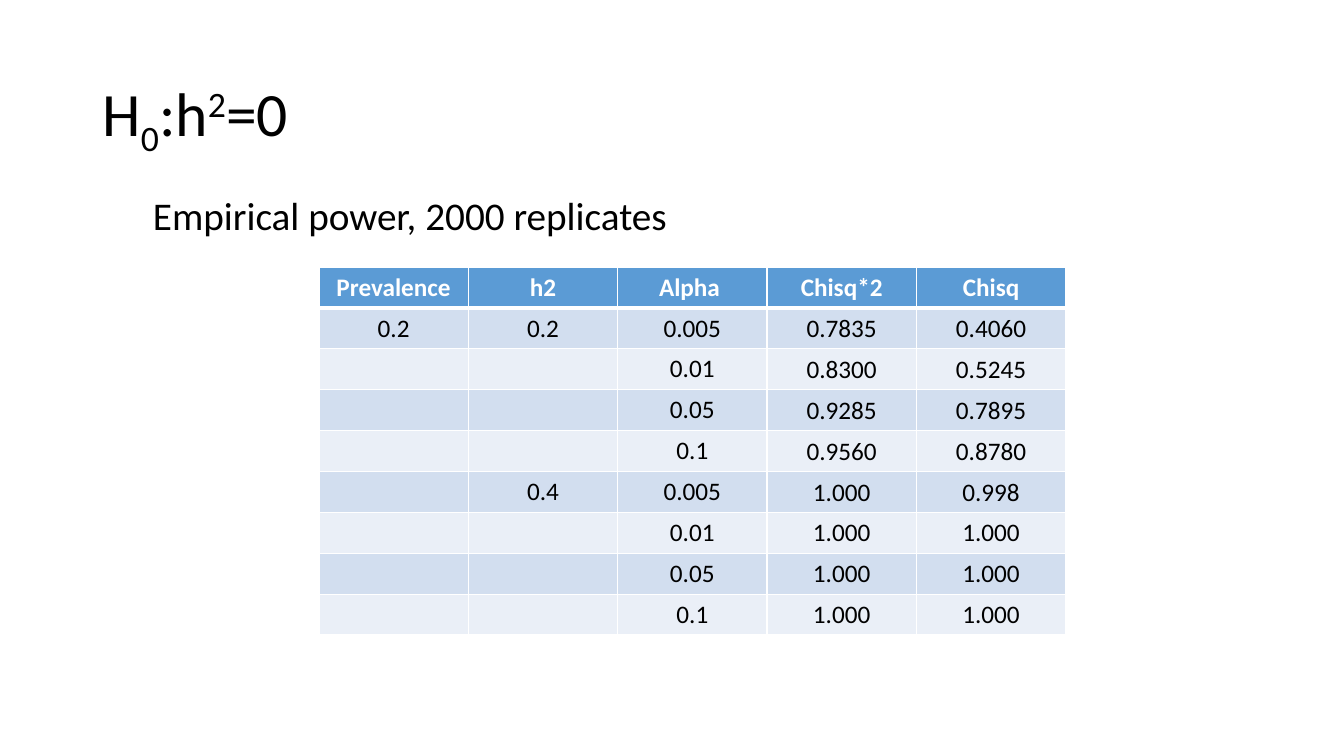
from lxml.etree import SubElement
from pptx import Presentation
from pptx.dml.color import RGBColor
from pptx.enum.text import MSO_ANCHOR, MSO_AUTO_SIZE, PP_ALIGN
from pptx.oxml import parse_xml
from pptx.oxml.ns import nsdecls
from pptx.util import Pt

HUES = {"ink": "000000", "white": "FFFFFF", "head": "5B9BD5",
        "odd": "D2DEEF", "even": "EAEFF7"}


def write(para, text, size=18, hue="ink", bold=False, align=PP_ALIGN.LEFT, base=0):
    para.alignment = align
    run = para.add_run()
    run.text = text
    font = run.font
    font.name, font.size, font.bold = "Calibri", Pt(size), bold
    font.color.rgb = RGBColor.from_string(HUES[hue])
    if base:
        run._r.get_or_add_rPr().set("baseline", str(base * 1000))


def edge(cell, sides):
    props = cell._tc.get_or_add_tcPr()
    for spot, (side, width) in enumerate(sides.items()):
        props.insert(spot, parse_xml(
            f'<a:ln{side} {nsdecls("a")} w="{Pt(width)}"><a:solidFill>'
            f'<a:srgbClr val="{HUES["white"]}"/></a:solidFill></a:ln{side}>'))


deck = Presentation()
deck.slide_width, deck.slide_height = Pt(960), Pt(540)
slide = deck.slides.add_slide(deck.slide_layouts[5])
for extra in list(slide.placeholders):
    if extra.placeholder_format.idx:
        extra.element.getparent().remove(extra.element)

# Title
title = slide.shapes.title
title.left, title.top, title.width, title.height = Pt(66), Pt(28.75), Pt(828), Pt(104.4)
frame = title.text_frame
frame.word_wrap = True
frame.auto_size = MSO_AUTO_SIZE.NONE
frame.vertical_anchor = MSO_ANCHOR.MIDDLE
para = frame.paragraphs[0]
para.line_spacing = 0.9
for text, base in [("H", 0), ("0", -25), (":h", 0), ("2", 30), ("=0", 0)]:
    write(para, text, size=44, base=base)

# Subtitle
note = slide.shapes.add_textbox(Pt(102.2), Pt(133.2), Pt(392.4), Pt(41))
note.text_frame.word_wrap = False
note.text_frame.auto_size = MSO_AUTO_SIZE.SHAPE_TO_FIT_TEXT
write(note.text_frame.paragraphs[0], "Empirical power, 2000 replicates", size=28)

# Power table
rows = [
    ["Prevalence", "h2", "Alpha ", "Chisq*2", "Chisq"],
    ["0.2", "0.2", "0.005", "0.7835", "0.4060"],
    ["", "", "0.01", "0.8300", "0.5245"],
    ["", "", "0.05", "0.9285", "0.7895"],
    ["", "", "0.1", "0.9560", "0.8780"],
    ["", "0.4", "0.005", "1.000", "0.998"],
    ["", "", "0.01", "1.000", "1.000"],
    ["", "", "0.05", "1.000", "1.000"],
    ["", "", "0.1", "1.000", "1.000"],
]
wide, high = 106.7, 29.2
table = slide.shapes.add_table(len(rows), len(rows[0]), Pt(227.8), Pt(190.8),
                               Pt(wide * len(rows[0])), Pt(high * len(rows))).table
for col in table.columns:
    col.width = Pt(wide)
for r, row in enumerate(rows):
    table.rows[r].height = Pt(high)
    head = r == 0
    band = "head" if head else "odd" if r % 2 else "even"
    for c, text in enumerate(row):
        cell = table.cell(r, c)
        cell.fill.solid()
        cell.fill.fore_color.rgb = RGBColor.from_string(HUES[band])
        cell.vertical_anchor = MSO_ANCHOR.MIDDLE
        if c > 2 and not head:
            cell.margin_left = cell.margin_right = cell.margin_top = Pt(0.75)
            cell.margin_bottom = Pt(0)
        edge(cell, {"L": 1, "R": 1, "T": 3 if r == 1 else 1, "B": 3 if head else 1})
        para = cell.text_frame.paragraphs[0]
        if text:
            write(para, text, hue="white" if head else "ink", bold=head,
                  align=PP_ALIGN.CENTER)
        else:
            para.font.size = Pt(18)

deck.save("out.pptx")
